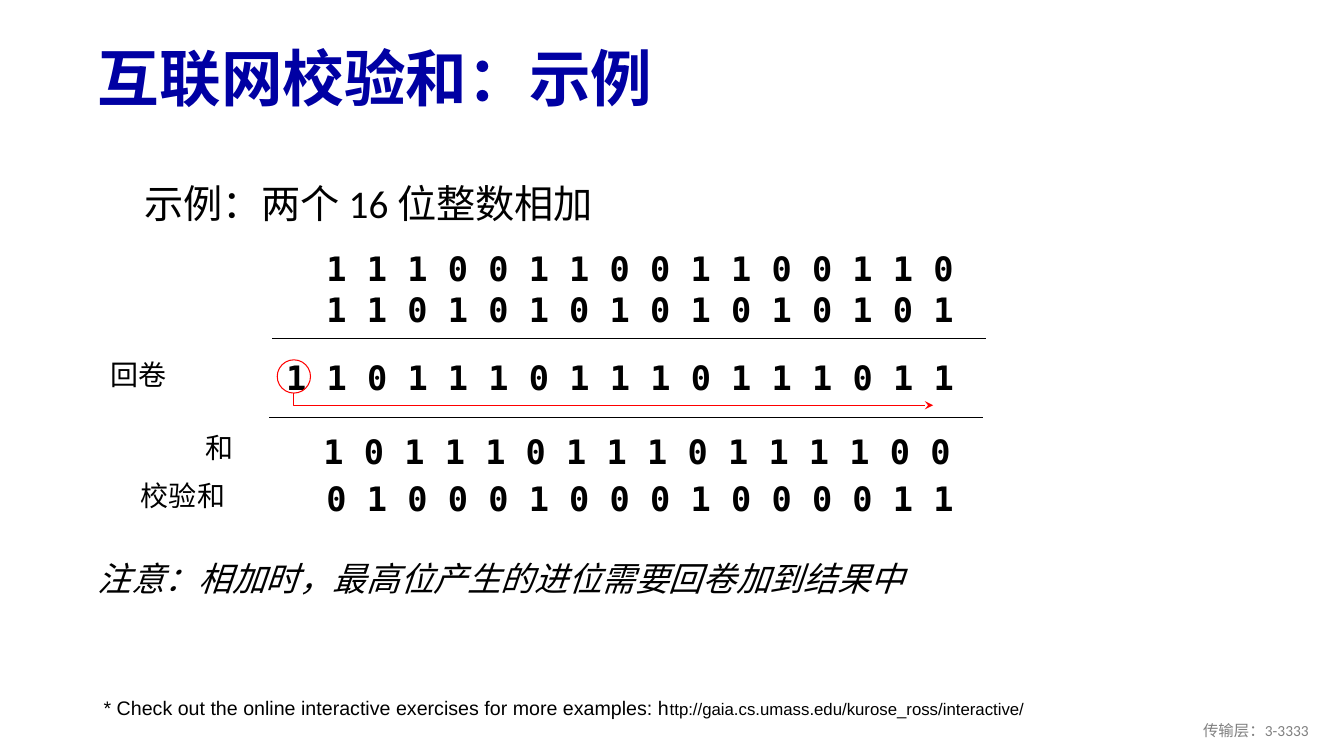
from lxml import etree
from pptx import Presentation
from pptx.dml.color import RGBColor
from pptx.enum import shapes, text
from pptx.oxml.ns import qn
from pptx.util import Inches, Pt

COLORS = {"title": "0000A3", "ink": "000000", "carry": "FF0000", "footer": "808080"}
BODY_FONT, NOTE_FONT, BIT_FONT = "Calibri", "Arial", "DejaVu Sans Mono"
BIT_PITCH = 0.4  # one digit and the gap after it
BIT_ROW_HEIGHT = 0.5


def inches(*lengths):
    return [Inches(length) for length in lengths]


def write(shape, runs, color="ink", font=BODY_FONT, bold=False, italic=False,
          align=text.PP_ALIGN.LEFT, anchor=text.MSO_ANCHOR.TOP, spacing=1.0):
    """Fill a shape with one paragraph of (words, size) runs."""
    frame = shape.text_frame
    frame.word_wrap = True
    frame.auto_size = text.MSO_AUTO_SIZE.NONE
    frame.vertical_anchor = anchor
    paragraph = frame.paragraphs[0]
    paragraph.alignment = align
    paragraph.line_spacing = spacing
    paragraph.space_before = Pt(0)
    for words, size in runs:
        run = paragraph.add_run()
        run.text = words
        run.font.name = font
        run.font.size = Pt(size)
        run.font.bold = bold
        run.font.italic = italic
        run.font.color.rgb = RGBColor.from_string(COLORS[color])
    return paragraph


def add_text(slide, box, runs, **style):
    return write(slide.shapes.add_textbox(*inches(*box)), runs, **style)


def place(placeholder, box):
    placeholder.left, placeholder.top, placeholder.width, placeholder.height = inches(*box)


def outline(shape, color, width):
    shape.line.color.rgb = RGBColor.from_string(COLORS[color])
    shape.line.width = Pt(width)


def add_rule(slide, left, top, width):
    line = slide.shapes.add_connector(
        shapes.MSO_CONNECTOR.STRAIGHT, *inches(left, top, left + width, top))
    outline(line, "ink", 1)
    etree.SubElement(line._element.spPr, qn("a:effectLst"))


def add_heading(slide, title_box, body_box):
    title, body = slide.placeholders
    place(title, title_box)
    write(title, [("互联网校验和：示例", 44)], color="title", bold=True,
          anchor=text.MSO_ANCHOR.MIDDLE, spacing=0.9)
    place(body, body_box)
    paragraph = write(body, [("示例：两个 16 位整数相加", 28)], spacing=1.3)
    properties = paragraph._p.get_or_add_pPr()
    properties.set("marL", str(Inches(0.26)))
    properties.set("indent", str(Inches(-0.26)))
    etree.SubElement(properties, qn("a:buNone"))


def add_carry(slide, left, top, reach):
    """Circle the carry bit and lead it round to the lowest bit."""
    diameter = 0.33
    circle = slide.shapes.add_shape(
        shapes.MSO_SHAPE.OVAL, *inches(left, top, diameter, diameter))
    start_x, start_y = left + diameter / 2, top + diameter
    bend_y = start_y + 0.12
    builder = slide.shapes.build_freeform(*inches(start_x, start_y))
    builder.add_line_segments(
        [inches(start_x, bend_y), inches(start_x + reach, bend_y)], close=False)
    arrow = builder.convert_to_shape()
    for shape in (circle, arrow):
        shape.shadow.inherit = False
        shape.fill.background()
        outline(shape, "carry", 0.75)
    etree.SubElement(arrow.line._get_or_add_ln(), qn("a:tailEnd"), type="stealth")


def add_sum(slide, left, top):
    """Draw the addition; left and top belong to the first digit column."""
    rows = [  # bits, offset right, offset down
        ("1110011001100110", 0, 0),
        ("1101010101010101", 0, 0.41),
        ("11011101110111011", -BIT_PITCH, 1.08),
        ("1011101110111100", -0.03, 1.82),
        ("0100010001000011", 0, 2.28),
    ]
    for bits, right, down in rows:
        box = (left + right, top + down, len(bits) * BIT_PITCH + 0.3, BIT_ROW_HEIGHT)
        add_text(slide, box, [(" ".join(bits), 24)], font=BIT_FONT, bold=True)

    labels = [("回卷", 1, 1.09), ("和", 1.94, 1.81), ("校验和", 1.3, 2.29)]
    for words, label_left, down in labels:
        add_text(slide, (label_left, top + down, 1.34, 0.44), [(words, 20)])

    add_rule(slide, left - 0.44, top + 0.95, 7.08)
    add_rule(slide, left - 0.47, top + 1.73, 7.08)
    add_carry(slide, left - 0.39, top + 1.16, reach=6.34)


def add_notes(slide, left, top, width):
    add_text(slide, (left, top, width, 1.18),
             [("注意：相加时，最高位产生的进位需要回卷加到结果中", 24)],
             italic=True, spacing=0.85)
    add_text(slide, (left + 0.06, top + 1.3, width, 0.34),
             [("* Check out the online interactive exercises for more examples: h", 14),
              ("ttp://gaia.cs.umass.edu/kurose_ross/interactive/", 12)], font=NOTE_FONT)


def add_footer(slide, box):
    add_text(slide, box, [("传输层：3-3333", 11)], color="footer",
             align=text.PP_ALIGN.RIGHT, anchor=text.MSO_ANCHOR.MIDDLE)


def main():
    presentation = Presentation()
    presentation.slide_width, presentation.slide_height = inches(13.33, 7.5)
    slide = presentation.slides.add_slide(presentation.slide_layouts[1])
    add_heading(slide, (0.87, 0.32, 12.14, 0.98), (1.33, 1.59, 8.5, 0.8))
    add_sum(slide, left=3.14, top=2.41)
    add_notes(slide, left=0.87, top=5.55, width=11.34)
    add_footer(slide, (10.08, 7.05, 3, 0.4))
    presentation.save("out.pptx")


if __name__ == "__main__":
    main()
